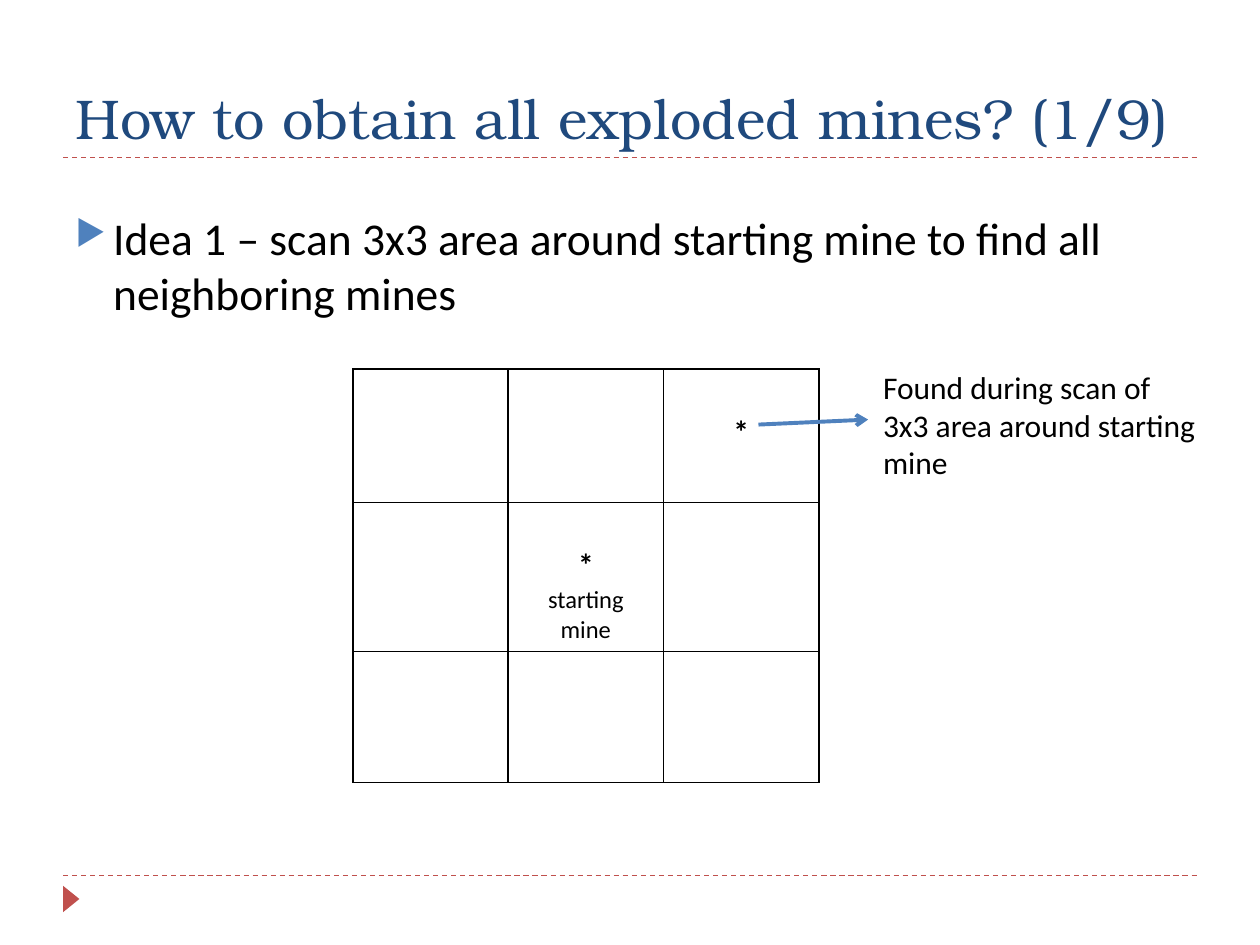
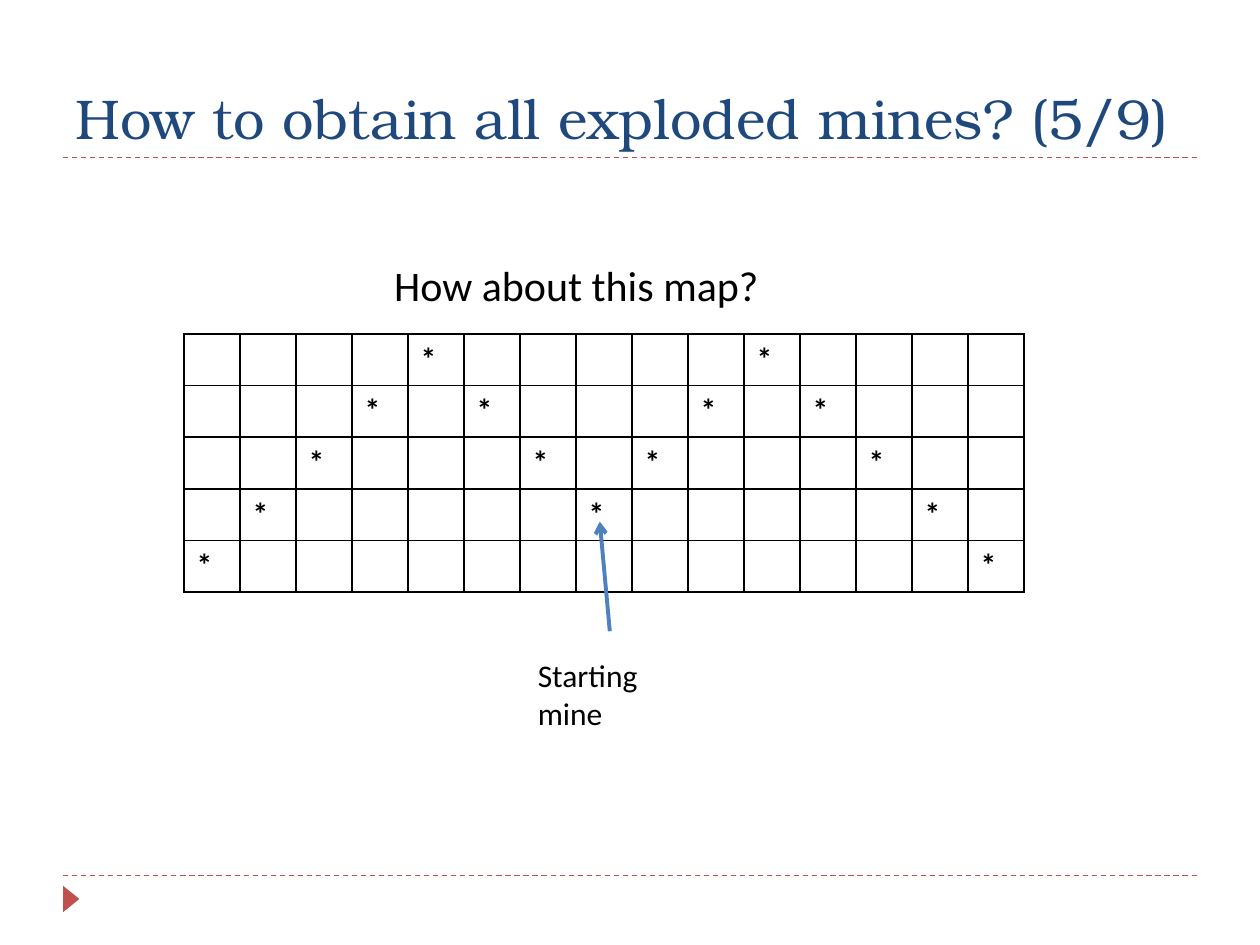
from lxml.etree import SubElement
from pptx import Presentation
from pptx.dml.color import RGBColor
from pptx.enum.dml import MSO_LINE
from pptx.enum.shapes import MSO_CONNECTOR, MSO_SHAPE
from pptx.enum.text import MSO_ANCHOR, MSO_AUTO_SIZE, PP_ALIGN
from pptx.oxml.ns import qn
from pptx.util import Inches, Pt

BLACK, NAVY, BLUE, RED = "000000", "1F497D", "4F81BD", "C0504D"
BODY_FONT, TITLE_FONT = "Calibri", "TeX Gyre Bonum"
MINE = "*"


def rgb(value):
    """Turn a hex string into a colour."""
    return RGBColor.from_string(value)


def write(p, text, size=18, font=BODY_FONT, color=BLACK, bold=False, align=PP_ALIGN.LEFT):
    """Put one formatted run into a paragraph."""
    p.alignment = align
    r = p.add_run()
    r.text = text
    r.font.size, r.font.name, r.font.bold = Pt(size), font, bold
    r.font.color.rgb = rgb(color)


def add_text(s, text, left, top, width, height, **fmt):
    """Add a wrapping text box and return its paragraph."""
    tf = s.shapes.add_textbox(*map(Inches, (left, top, width, height))).text_frame
    tf.word_wrap = True
    p = tf.paragraphs[0]
    write(p, text, **fmt)
    return p


def add_bullet(p, char="▶", indent=0.3):
    """Give a paragraph a coloured bullet with a hanging indent."""
    p.space_before = Pt(6)
    pPr = p._p.get_or_add_pPr()
    pPr.set("marL", str(Inches(indent)))
    pPr.set("indent", str(-Inches(indent)))
    SubElement(SubElement(pPr, qn("a:buClr")), qn("a:srgbClr"), val=BLUE)
    SubElement(pPr, qn("a:buSzPct"), val="76000")
    SubElement(pPr, qn("a:buChar"), char=char)


def add_line(s, x1, y1, x2, y2, color, width):
    """Add a straight line without a shadow."""
    line = s.shapes.add_connector(MSO_CONNECTOR.STRAIGHT, *map(Inches, (x1, y1, x2, y2)))
    line.line.color.rgb = rgb(color)
    line.line.width = Pt(width)
    SubElement(line._element.spPr, qn("a:effectLst"))
    return line


def add_arrow(s, x1, y1, x2, y2):
    """Add a blue arrow pointing at its second end."""
    line = add_line(s, x1, y1, x2, y2, BLUE, 2.25)
    SubElement(line.line._get_or_add_ln(), qn("a:tailEnd"), type="arrow")


def format_cell(cell):
    """Give a cell thin black borders and no fill."""
    tcPr = cell._tc.get_or_add_tcPr()
    for side in ("a:lnL", "a:lnR", "a:lnT", "a:lnB"):
        ln = SubElement(tcPr, qn(side), w=str(Pt(1)))
        SubElement(SubElement(ln, qn("a:solidFill")), qn("a:srgbClr"), val=BLACK)
    cell.fill.background()


def add_grid(s, left, top, width, heights, columns):
    """Add an empty bordered table with equal columns."""
    table = s.shapes.add_table(len(heights), columns, *map(
        Inches, (left, top, width, sum(heights)))).table
    table.first_row = table.horz_banding = False
    for column in table.columns:
        column.width = int(Inches(width) / columns)
    for row, height in zip(table.rows, heights):
        row.height = Inches(height)
    for cell in table.iter_cells():
        format_cell(cell)
    return table


def add_mine(cell, **fmt):
    """Mark a cell with a bold mine and return its text frame."""
    tf = cell.text_frame
    write(tf.paragraphs[0], MINE, bold=True, **fmt)
    return tf


def add_slide(prs, number):
    """Add a slide with the shared title, rules and corner marker."""
    s = prs.slides.add_slide(prs.slide_layouts[5])
    title = s.shapes.title
    title.left, title.top, title.width, title.height = map(Inches, (0.5, 0.17, 9, 1.08))
    tf = title.text_frame
    tf.auto_size, tf.vertical_anchor = MSO_AUTO_SIZE.NONE, MSO_ANCHOR.BOTTOM
    write(tf.paragraphs[0], f"How to obtain all exploded mines? ({number}/9)",
          size=32, font=TITLE_FONT, color=NAVY)
    for y in (1.25, 6.95):
        add_line(s, 0.5, y, 9.5, y, RED, 0.75).line.dash_style = MSO_LINE.DASH
    sp = s.shapes.add_shape(MSO_SHAPE.ISOSCELES_TRIANGLE,
                            *map(Inches, (0.46, 7.07, 0.21, 0.13)))
    sp.rotation = 90
    sp.shadow.inherit = False
    sp.fill.solid()
    sp.fill.fore_color.rgb = rgb(RED)
    sp.line.fill.background()
    return s


def build_scan_slide(prs):
    """Show the 3x3 scan around the starting mine."""
    s = add_slide(prs, 1)
    add_bullet(add_text(s, "Idea 1 – scan 3x3 area around starting mine to find all neighboring mines",
                        0.5, 1.62, 9, 1.1, size=26))
    table = add_grid(s, 2.8, 2.93, 3.7, (1.06, 1.18, 1.04), 3)
    found, start = table.cell(0, 2), table.cell(1, 1)
    for cell in (found, start):
        cell.margin_top = Inches(0.35)
        tf = add_mine(cell, align=PP_ALIGN.CENTER)
    write(tf.add_paragraph(), "starting mine", size=14, align=PP_ALIGN.CENTER)
    add_arrow(s, 6.02, 3.37, 6.89, 3.33)
    add_text(s, "Found during scan of 3x3 area around starting mine", 6.91, 2.87, 2.72, 1.01)


def build_map_slide(prs):
    """Show the map whose mines form a zigzag."""
    s = add_slide(prs, 5)
    columns = 15
    table = add_grid(s, 1.46, 2.65, 6.67, [0.41] * 5, columns)
    for column in range(columns):
        row = abs(abs(column - columns // 2) - 3)
        add_mine(table.cell(row, column))
    add_arrow(s, 4.84, 5.01, 4.76, 4.14)
    add_text(s, "Starting mine", 4.17, 5.16, 1.34, 0.71)
    add_text(s, "How about this map?", 3.03, 2.01, 3.78, 0.5, size=24)


def main():
    """Build and save the presentation."""
    prs = Presentation()
    prs.slide_width, prs.slide_height = Inches(10), Inches(7.5)
    build_scan_slide(prs)
    build_map_slide(prs)
    prs.save("out.pptx")


if __name__ == "__main__":
    main()
